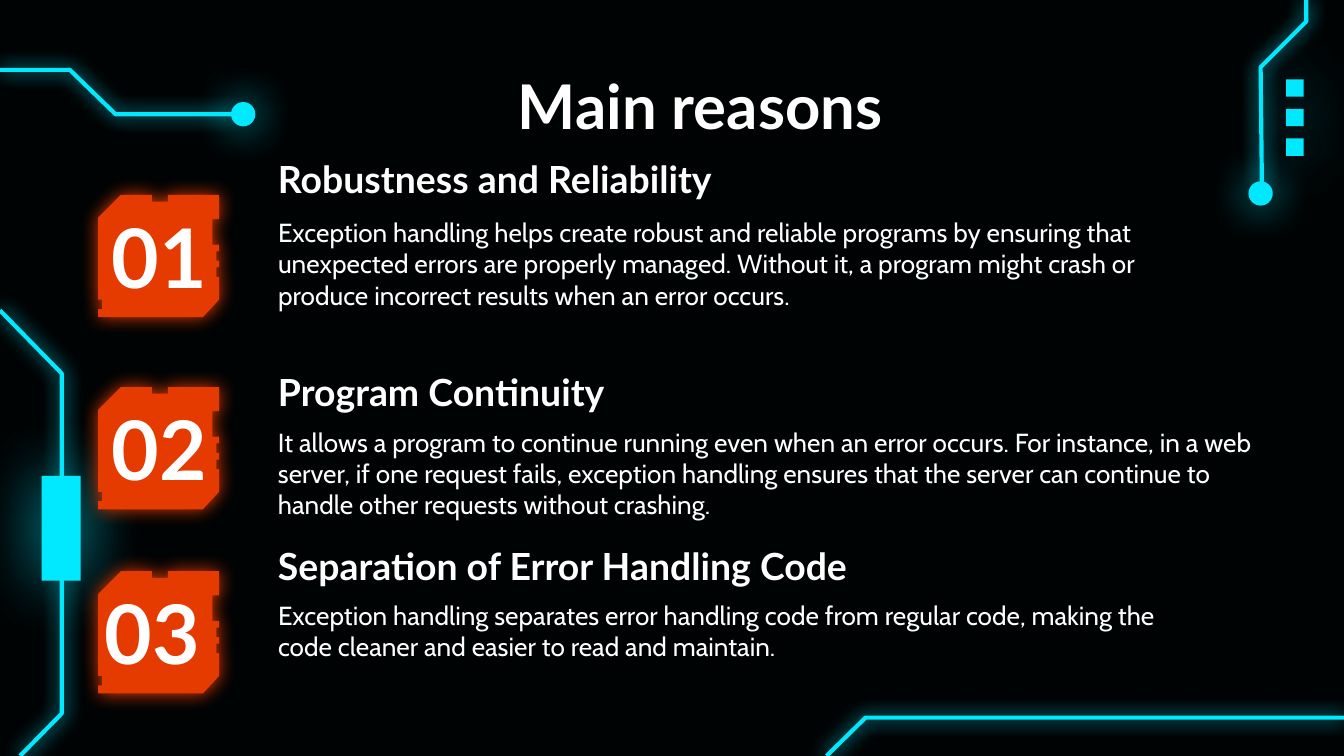
from lxml.etree import SubElement
from pptx import Presentation
from pptx.dml.color import RGBColor
from pptx.enum.shapes import MSO_SHAPE as Shape
from pptx.enum.text import MSO_ANCHOR as Anchor, MSO_AUTO_SIZE as AutoSize, PP_ALIGN as Align
from pptx.oxml.ns import qn
from pptx.util import Inches, Pt

# The slide is a grid of 100 columns and 56.25 rows
COLUMNS, ROWS = 100, 56.25
BLACK, WHITE, CYAN, ORANGE = "000304", "FFFFFF", "00E9FF", "E63B00"

TITLE = {"size": Pt(33), "name": "Lato", "bold": True}
HEADING = {"size": Pt(20), "name": "Lato", "bold": True}
BODY = {"size": Pt(14), "name": "Cabin", "bold": False}
NUMBER = {"size": Pt(44), "name": "Lato", "bold": True}

TEXT_LEFT, CHIP_LEFT, CHIP_SIZE = 19.7, 7.3, 9
# Corners of a chip, from its own top left
CHIP = [(1.7, 0), (0, 1.7), (0, 7.8), (0.3, 7.8), (0.3, 8.5), (0, 8.5), (0, 9.1),
        (7.8, 9.1), (9, 7.8), (9, 6.1), (8.8, 6.1), (8.8, 5.4), (9, 5.4), (9, 4.9),
        (8.8, 4.9), (8.8, 4.2), (9, 4.2), (9, 3.7), (8.5, 3.7), (8.5, 1.8), (9, 1.8),
        (9, 0), (5.2, 0), (5.2, 0.5), (4, 0.5), (4, 0)]

# Circuit lines, each ending at the slide's edge or at a dot
CIRCUITS = [
    [(97.2, 0), (97.2, 1.6), (93.8, 5), (93.9, 14)],
    [(0, 23.1), (4.6, 27.8), (4.6, 53.1), (1.5, ROWS)],
    [(0, 5.2), (5.2, 5.2), (8.6, 8.5), (17.6, 8.5)],
    [(61.5, ROWS), (64.4, 53.4), (COLUMNS, 53.4)],
]
DOTS = [(93, 13.6), (17.3, 7.7)]
BLOCKS = [(3.1, 35.4, 2.9, 7.8)] + [(95.7, 5.9 + 2.2 * i, 1.3, 1.3) for i in range(3)]

# Number, its left; chip top; heading, its top; text, its top and width
REASONS = [
    ("01", 2.9, 14.5, "Robustness and Reliability", 11.6,
     "Exception handling helps create robust and reliable programs by ensuring that "
     "unexpected errors are properly managed. Without it, a program might crash or "
     "produce incorrect results when an error occurs.", 16.1, 70.8),
    ("02", 2.9, 28.8, "Program Continuity", 27.5,
     "It allows a program to continue running even when an error occurs. For instance, "
     "in a web server, if one request fails, exception handling ensures that the server "
     "can continue to handle other requests without crashing.", 31.7, 74.6),
    ("03", 2.4, 42.5, "Separation of Error Handling Code", 40.4,
     "Exception handling separates error handling code from regular code, making the "
     "code cleaner and easier to read and maintain.", 44.6, 69.1),
]


def cells(*values):
    return [Inches(value / 10) for value in values]


def color(hex_string):
    return RGBColor.from_string(hex_string)


def add_glow(shape, hex_string, blur, alpha=100):
    shape.shadow.inherit = False
    effects = shape._element.spPr.find(qn("a:effectLst"))
    glow = SubElement(effects, qn("a:outerShdw"), blurRad=str(Pt(blur)), dist="0",
                      algn="bl", rotWithShape="0")
    tint = SubElement(glow, qn("a:srgbClr"), val=hex_string)
    SubElement(tint, qn("a:alpha"), val=str(alpha * 1000))


def paint(shape, hex_string):
    shape.fill.solid()
    shape.fill.fore_color.rgb = color(hex_string)
    shape.line.fill.background()


def add_outline(slide, points, closed):
    start, *others = [cells(*point) for point in points]
    builder = slide.shapes.build_freeform(*start, scale=1.0)
    builder.add_line_segments(others, close=closed)
    return builder.convert_to_shape()


def add_circuit(slide, points):
    shape = add_outline(slide, points, closed=False)
    shape.fill.background()
    shape.line.color.rgb = color(CYAN)
    shape.line.width = Pt(2.25)
    add_glow(shape, CYAN, 10)


def add_preset(slide, kind, box, blur, alpha):
    shape = slide.shapes.add_shape(kind, *cells(*box))
    paint(shape, CYAN)
    add_glow(shape, CYAN, blur, alpha)
    return shape


def add_chip(slide, top):
    points = [(CHIP_LEFT + x, top + y) for x, y in CHIP]
    shape = add_outline(slide, points, closed=True)
    paint(shape, ORANGE)
    add_glow(shape, ORANGE, 10)


def write(shape, text, style, centred=False):
    frame = shape.text_frame
    layout = {"word_wrap": True, "auto_size": AutoSize.NONE,
              "margin_left": Inches(0.1), "margin_right": Inches(0.1),
              "margin_top": Inches(0.1 if centred else 0), "margin_bottom": Inches(0.1),
              "vertical_anchor": Anchor.MIDDLE if centred else Anchor.TOP}
    for name, value in layout.items():
        setattr(frame, name, value)
    paragraph = frame.paragraphs[0]
    paragraph.alignment = Align.CENTER if centred else Align.LEFT
    run = paragraph.add_run()
    run.text = text
    for name, value in style.items():
        setattr(run.font, name, value)
    run.font.color.rgb = color(WHITE)


def add_text(slide, box, text, style, centred=False):
    write(slide.shapes.add_textbox(*cells(*box)), text, style, centred)


def add_title(slide, text):
    title = slide.shapes.title
    title.left, title.top, title.width, title.height = cells(9.9, 5.2, 84.4, 5.2)
    write(title, text, TITLE, centred=True)


def add_decoration(slide):
    for points in CIRCUITS:
        add_circuit(slide, points)
    for left, top in DOTS:
        dot = add_preset(slide, Shape.OVAL, (left, top, 1.6, 1.6), 22.5, 100)
        dot.line.color.rgb = color(CYAN)
        dot.line.width = Pt(1.5)
    for box in BLOCKS:
        add_preset(slide, Shape.RECTANGLE, box, 36, 70)


def add_reason(slide, number, number_left, chip_top, heading, heading_top,
               text, text_top, text_width):
    add_chip(slide, chip_top)
    add_text(slide, (number_left, chip_top, 17.9, CHIP_SIZE), number, NUMBER, centred=True)
    add_text(slide, (TEXT_LEFT, heading_top, 51, 4.2), heading, HEADING)
    add_text(slide, (TEXT_LEFT, text_top, text_width, 7.6), text, BODY)


def main():
    presentation = Presentation()
    presentation.slide_width, presentation.slide_height = cells(COLUMNS, ROWS)
    slide = presentation.slides.add_slide(presentation.slide_layouts[5])
    slide.background.fill.solid()
    slide.background.fill.fore_color.rgb = color(BLACK)

    add_decoration(slide)
    add_title(slide, "Main reasons")
    for reason in REASONS:
        add_reason(slide, *reason)
    presentation.save("out.pptx")


if __name__ == "__main__":
    main()
